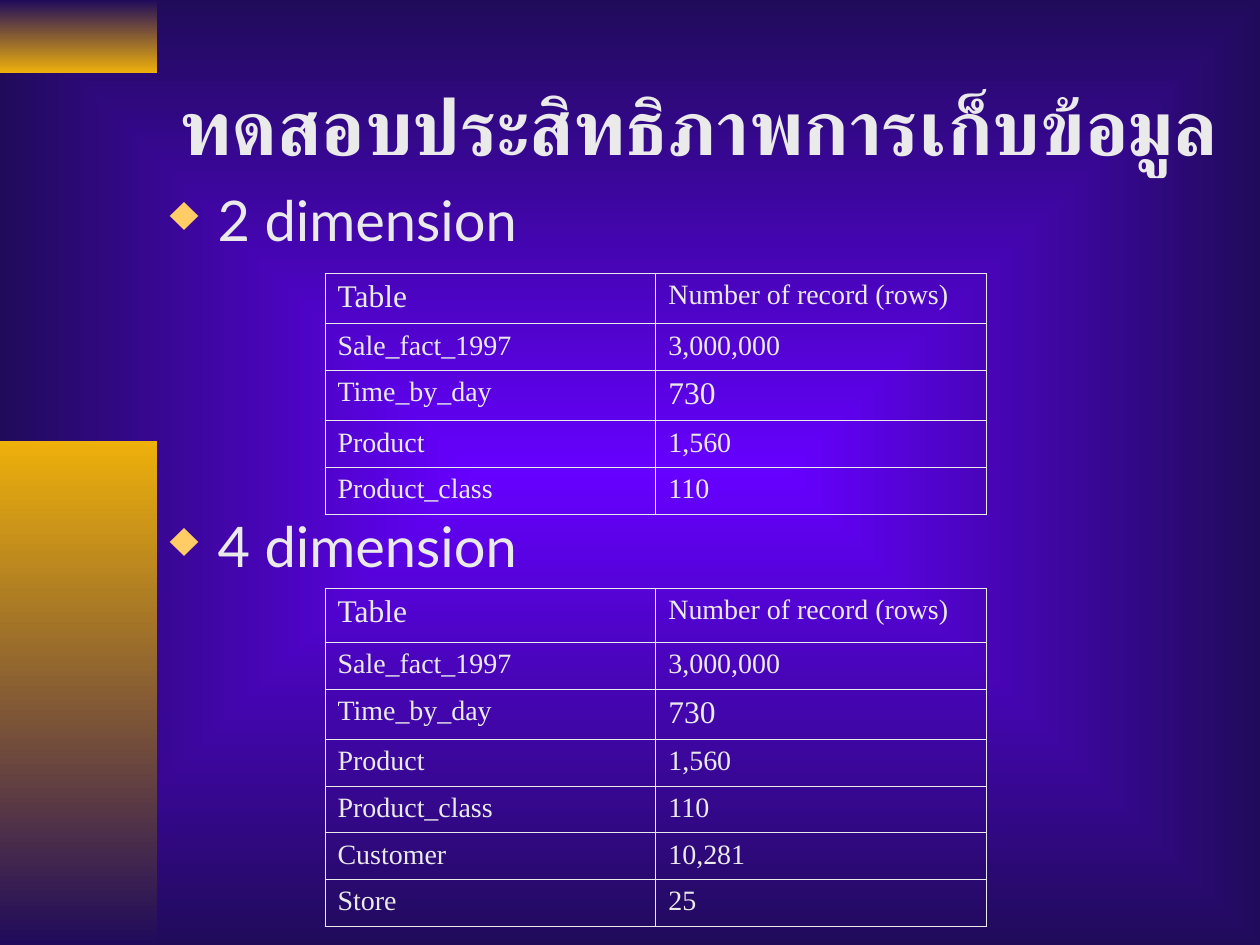
from pptx import Presentation
from pptx.dml.color import RGBColor
from pptx.enum.shapes import MSO_SHAPE
from pptx.enum.text import MSO_ANCHOR, MSO_AUTO_SIZE, PP_ALIGN
from pptx.oxml import parse_xml
from pptx.oxml.ns import nsdecls, qn
from pptx.util import Inches, Pt

RECT = MSO_SHAPE.RECTANGLE
MIDDLE = MSO_ANCHOR.MIDDLE
LEFT = PP_ALIGN.LEFT
NO_FIT = MSO_AUTO_SIZE.NONE

SERIF, SANS = "Times New Roman", "Lato"
NAVY, VIOLET, GOLD, PALE, AMBER = "200B5B", "6600FF", "EEB00B", "EAEAEA", "FFCC66"

TWO_DIM = [
    ("Table", "Number of record (rows)"),
    ("Sale_fact_1997", "3,000,000"),
    ("Time_by_day", "730"),
    ("Product", "1,560"),
    ("Product_class", "110"),
]
FOUR_DIM = TWO_DIM + [("Customer", "10,281"), ("Store", "25")]
LARGE = {"Table", "730"}


def color(code):
    """Turn a hex string into a colour."""
    return RGBColor.from_string(code)


def blend(fill, start, end):
    """Give a fill a gradient between two colours."""
    fill.gradient()
    for stop, code in zip(fill.gradient_stops, (start, end)):
        stop.color.rgb = color(code)


def add_run(para, text, size, face, bold=False):
    """Add one formatted run to a paragraph."""
    run = para.add_run()
    run.text = text
    font = run.font
    font.size, font.name, font.bold = Pt(size), face, bold
    font.color.rgb = color(PALE)


def add_back(slide):
    """Fill the background with a gradient spreading from the centre."""
    blend(slide.background.fill, VIOLET, NAVY)
    line = slide.element.find(".//" + qn("a:lin"))
    line.getparent().replace(line, parse_xml(
        f'<a:path {nsdecls("a")} path="rect">'
        '<a:fillToRect l="50000" t="50000" r="50000" b="50000"/></a:path>'))


def add_panel(slide, box, start, end):
    """Add a side panel that shades from top to bottom."""
    panel = slide.shapes.add_shape(RECT, *map(Inches, box))
    panel.shadow.inherit = False
    panel.line.fill.background()
    blend(panel.fill, start, end)
    panel.fill.gradient_angle = 270


def add_title(slide, box, text):
    """Place and format the title."""
    title = slide.shapes.title
    title.left, title.top, title.width, title.height = map(Inches, box)
    frame = title.text_frame
    frame.auto_size, frame.word_wrap = NO_FIT, True
    frame.vertical_anchor = MIDDLE
    para = frame.paragraphs[0]
    para.alignment = LEFT
    add_run(para, text, 44, SERIF, True)


def add_list(slide, box, items, gap):
    """Add bulleted headings with a gap in points between them."""
    frame = slide.shapes.add_textbox(*map(Inches, box)).text_frame
    frame.auto_size, frame.word_wrap = NO_FIT, True
    for i, text in enumerate(items):
        para = frame.add_paragraph() if i else frame.paragraphs[0]
        props = para._p.get_or_add_pPr()
        props.set("marL", str(Inches(0.38)))
        props.set("indent", str(-Inches(0.38)))
        for part in (f'buClr {nsdecls("a")}><a:srgbClr val="{AMBER}"/></a:buClr',
                     f'buSzPct {nsdecls("a")} val="90000"/',
                     f'buChar {nsdecls("a")} char="♦"/'):
            props.append(parse_xml(f"<a:{part}>"))
        if i:
            para.space_before = Pt(gap)
        add_run(para, text, 32, SANS)


def add_edges(cell):
    """Draw a thin line on each side of a cell."""
    props = cell._tc.get_or_add_tcPr()
    for i, side in enumerate("LRTB"):
        props.insert(i, parse_xml(
            f'<a:ln{side} {nsdecls("a")} w="{Pt(0.45)}"><a:solidFill>'
            f'<a:srgbClr val="{PALE}"/></a:solidFill></a:ln{side}>'))


def add_grid(slide, box, rows, head):
    """Add a table of record counts with the given heading height."""
    shape = slide.shapes.add_table(len(rows), 2, *map(Inches, box))
    table = shape.table
    table.first_row = table.horz_banding = False
    for r, row in enumerate(rows):
        tall = 0.4 if LARGE & set(row) else 0.37
        table.rows[r].height = Inches(tall if r else head)
        for c, text in enumerate(row):
            cell = table.cell(r, c)
            cell.fill.background()
            add_edges(cell)
            size = 18 if text in LARGE else 16
            add_run(cell.text_frame.paragraphs[0], text, size, SERIF)


def main():
    """Build the slide and save it."""
    deck = Presentation()
    deck.slide_width, deck.slide_height = Inches(10), Inches(7.5)
    slide = deck.slides.add_slide(deck.slide_layouts[5])
    add_back(slide)
    add_panel(slide, (0, 0, 1.25, 0.58), NAVY, GOLD)
    add_panel(slide, (0, 3.5, 1.25, 4), GOLD, NAVY)
    add_title(slide, (1.33, 0.33, 8.5, 1.32), "ทดสอบประสิทธิภาพการเก็บข้อมูล")
    add_list(slide, (1.25, 1.42, 8.5, 4.08), ("2 dimension", "4 dimension"), 148)
    add_grid(slide, (2.58, 2.17, 5.25, 1.9), TWO_DIM, 0.4)
    add_grid(slide, (2.58, 4.67, 5.25, 2.68), FOUR_DIM, 0.43)
    deck.save("out.pptx")


if __name__ == "__main__":
    main()
